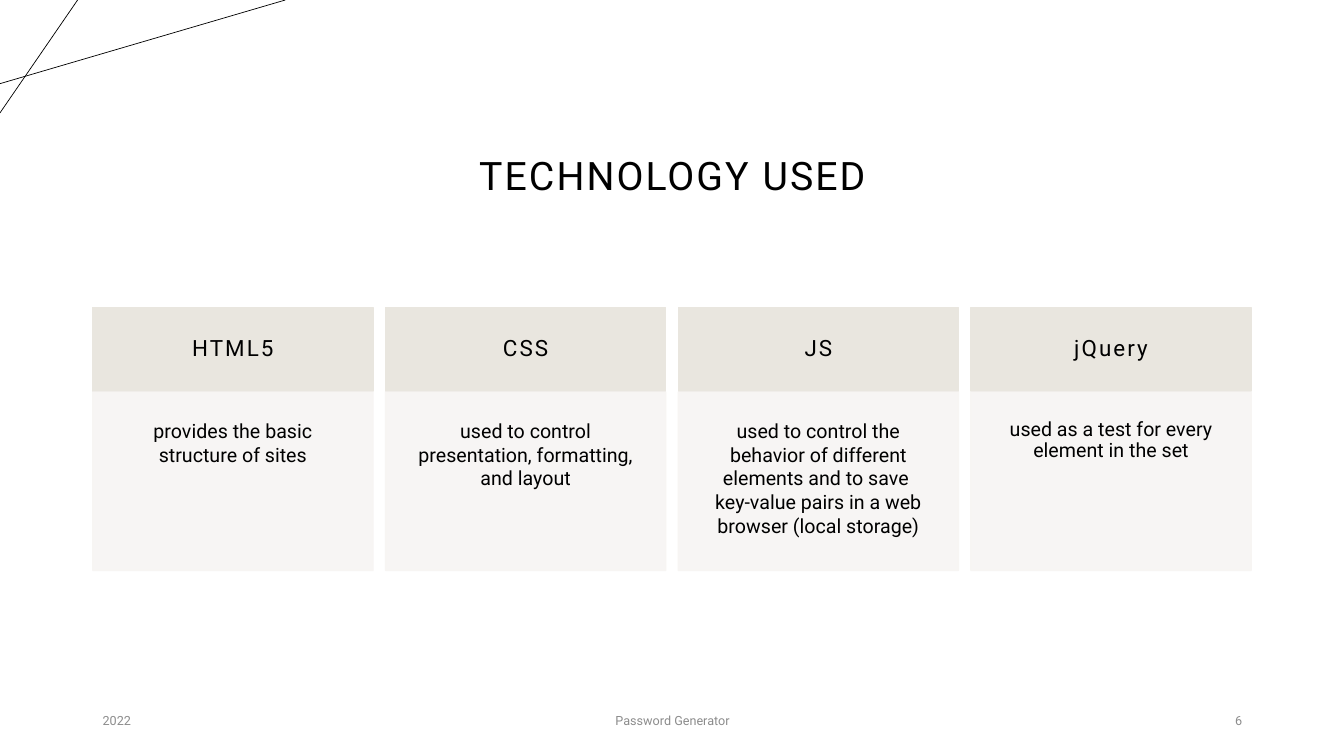
from lxml import etree
from pptx import Presentation
from pptx.dml.color import RGBColor
from pptx.enum import shapes, text
from pptx.oxml import ns
from pptx.util import Inches, Pt

BLACK = RGBColor(0x00, 0x00, 0x00)
GRAY = RGBColor(0x8C, 0x8C, 0x8C)
SAND = RGBColor(0xE9, 0xE6, 0xDF)
CREAM = RGBColor(0xF7, 0xF5, 0xF3)

LEFT, CARD_WIDTH, CARD_STEP = 0.92, 2.78, 2.9033
HEADER_TOP, HEADER_HEIGHT = 3.05, 0.83
BODY_TOP, BODY_HEIGHT = 3.89, 1.77

TECHNOLOGIES = [
    ("HTML5", "provides the basic structure of sites", 1.0),
    ("CSS", "used to control presentation, formatting, and layout", 1.0),
    ("JS", "used to control the behavior of different elements and to save \n"
           "key-value pairs in a web browser (local storage)", 1.0),
    ("jQuery", "used as a test for every element in the set", 0.9),
]


def write(shape, content, size, color=BLACK, align=text.PP_ALIGN.CENTER,
          anchor=text.MSO_ANCHOR.MIDDLE, line_spacing=1.0, tracking=0, inset=None):
    frame = shape.text_frame
    frame.word_wrap = True
    frame.auto_size = text.MSO_AUTO_SIZE.NONE
    frame.vertical_anchor = anchor
    if inset is not None:
        frame.margin_left = frame.margin_right = Inches(inset)
        frame.margin_top = frame.margin_bottom = Inches(inset)
    paragraph = frame.paragraphs[0]
    paragraph.text = content
    paragraph.alignment = align
    paragraph.line_spacing = line_spacing
    for run in paragraph.runs:
        run.font.name = "Roboto"
        run.font.size = Pt(size)
        run.font.color.rgb = color
        if tracking:
            run.font._element.set("spc", str(int(tracking * 100)))


def add_panel(slide, left, top, height, color, opacity=100):
    panel = slide.shapes.add_shape(shapes.MSO_SHAPE.RECTANGLE, Inches(left), Inches(top),
                                   Inches(CARD_WIDTH), Inches(height))
    panel.shadow.inherit = False
    panel.fill.solid()
    panel.fill.fore_color.rgb = color
    panel.line.color.rgb = color
    panel.line.width = Pt(1)
    if opacity < 100:
        for tint in panel._element.spPr.iter(ns.qn("a:srgbClr")):
            etree.SubElement(tint, ns.qn("a:alpha")).set("val", str(opacity * 1000))
    return panel


presentation = Presentation()
presentation.slide_width = Inches(13.33)
presentation.slide_height = Inches(7.5)
slide = presentation.slides.add_slide(presentation.slide_layouts[5])

for start_x, start_y, end_x, end_y in [(0, 0.83, 2.83, 0), (0.77, 0, 0, 1.12)]:
    line = slide.shapes.add_connector(shapes.MSO_CONNECTOR.STRAIGHT, Inches(start_x),
                                      Inches(start_y), Inches(end_x), Inches(end_y))
    line.line.color.rgb = BLACK
    line.line.width = Pt(0.5)
    etree.SubElement(line._element.spPr, ns.qn("a:effectLst"))

title = slide.shapes.title
title.left, title.top = Inches(LEFT), Inches(1.04)
title.width, title.height = Inches(11.5), Inches(1.45)
write(title, "TECHNOLOGY USED", size=28, line_spacing=0.9, tracking=1.5)

for column, (name, description, line_spacing) in enumerate(TECHNOLOGIES):
    left = LEFT + column * CARD_STEP
    header = add_panel(slide, left, HEADER_TOP, HEADER_HEIGHT, SAND)
    write(header, name, size=16, line_spacing=0.9, tracking=1.5, inset=0.22)
    body = add_panel(slide, left, BODY_TOP, BODY_HEIGHT, CREAM, opacity=90)
    write(body, description, size=14, anchor=text.MSO_ANCHOR.TOP,
          line_spacing=line_spacing, inset=0.27)

for left, width, content, align in [
    (0.92, 3, "2022", text.PP_ALIGN.LEFT),
    (4.42, 4.5, "Password Generator", text.PP_ALIGN.CENTER),
    (9.42, 3, "6", text.PP_ALIGN.RIGHT),
]:
    footer = slide.shapes.add_textbox(Inches(left), Inches(6.95), Inches(width), Inches(0.4))
    write(footer, content, size=9, color=GRAY, align=align)

presentation.save("out.pptx")
